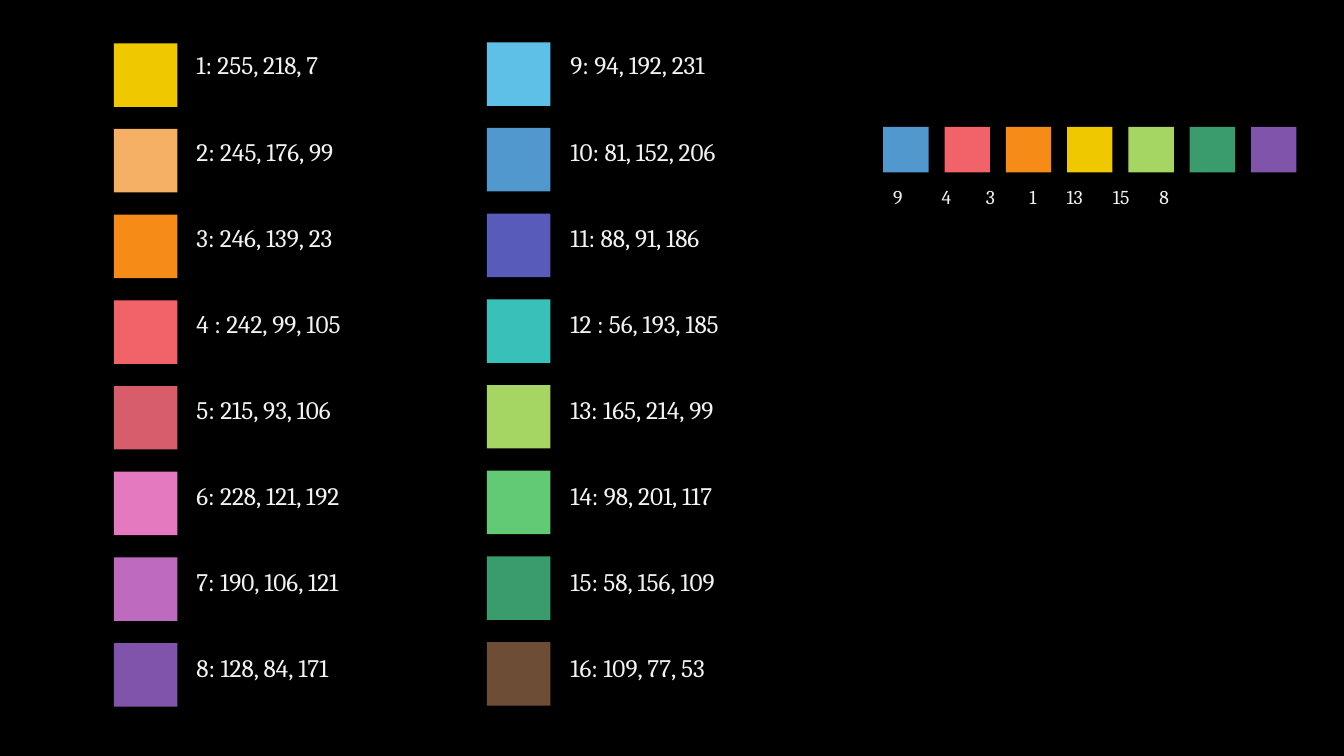
from dataclasses import dataclass

from lxml import etree
from pptx import Presentation
from pptx import util as u
from pptx.dml.color import RGBColor
from pptx.enum import shapes, text
from pptx.oxml.ns import qn


@dataclass(frozen=True)
class Theme:
    """Colours and type sizes of the slide."""
    background: str = "000000"
    ink: str = "F2F2F2"
    font: str = "Cambria"
    label_size: int = 18
    pick_size: int = 14
    leading: float = 20.5


THEME = Theme()

WARM = [
    ("F0C800", "1: 255, 218, 7"),
    ("F5B063", "2: 245, 176, 99"),
    ("F68B17", "3: 246, 139, 23"),
    ("F26369", "4 : 242, 99, 105"),
    ("D75D6A", "5: 215, 93, 106"),
    ("E479C0", "6: 228, 121, 192"),
    ("BE6ABF", "7: 190, 106, 121"),
    ("8054AB", "8: 128, 84, 171"),
]
COOL = [
    ("5EC0E7", "9: 94, 192, 231"),
    ("5198CE", "10: 81, 152, 206"),
    ("585BBA", "11: 88, 91, 186"),
    ("38C1B9", "12 : 56, 193, 185"),
    ("A5D663", "13: 165, 214, 99"),
    ("62C975", "14: 98, 201, 117"),
    ("3A9C6D", "15: 58, 156, 109"),
    ("6D4D35", "16: 109, 77, 53"),
]
# Colour, number and the number's distance from the start of its line.
PICKS = [
    ("5198CE", "9", 0),
    ("F26369", "4", 0.48),
    ("F68B17", "3", 0.92),
    ("F0C800", "1", 1.35),
    ("A5D663", "13", 1.72),
    ("3A9C6D", "15", 2.18),
    ("8054AB", "8", 2.64),
]


def add_swatch(slide, left, top, side, colour):
    """Draw one plain colour square."""
    swatch = slide.shapes.add_shape(
        shapes.MSO_SHAPE.RECTANGLE, *map(u.Inches, (left, top, side, side)))
    swatch.shadow.inherit = False
    swatch.fill.solid()
    swatch.fill.fore_color.rgb = RGBColor.from_string(colour)
    swatch.line.fill.background()


def add_lines(slide, left, top, width, height, lines, size, gap=0):
    """Add a text box with one paragraph per line and return its paragraphs."""
    frame = slide.shapes.add_textbox(
        *map(u.Inches, (left, top, width, height))).text_frame
    frame.word_wrap = True
    frame.auto_size = text.MSO_AUTO_SIZE.SHAPE_TO_FIT_TEXT
    for index, line in enumerate(lines):
        paragraph = frame.add_paragraph() if index else frame.paragraphs[0]
        paragraph.line_spacing = u.Pt(THEME.leading)
        paragraph.space_before = u.Pt(gap if index else 0)
        run = paragraph.add_run()
        run.text = line
        run.font.name = THEME.font
        run.font.size = u.Pt(size)
        run.font.color.rgb = RGBColor.from_string(THEME.ink)
    return frame.paragraphs


def set_tabs(paragraph, stops):
    """Give a paragraph left tab stops, in inches."""
    properties = paragraph._p.get_or_add_pPr()
    tab_list = etree.SubElement(properties, qn("a:tabLst"))
    for stop in stops:
        etree.SubElement(tab_list, qn("a:tab"),
                         pos=str(u.Inches(stop)), algn="l")


def add_palette_column(slide, left, top, label_left, palette):
    """Draw a column of swatches with their RGB values beside them."""
    for row, (colour, _) in enumerate(palette):
        add_swatch(slide, left, top + row * 0.85, 0.63, colour)
    add_lines(slide, label_left, 0.46, 2.36, 6.58,
              [label for _, label in palette],
              THEME.label_size, gap=2 * THEME.leading)


def add_pick_row(slide, left, top):
    """Draw the row of chosen colours with their numbers below."""
    for column, (colour, _, _) in enumerate(PICKS):
        add_swatch(slide, left + column * 0.608, top, 0.45, colour)
    numbers = "\t".join(number for _, number, _ in PICKS)
    paragraphs = add_lines(slide, left, 1.73, 4.21, 0.38,
                           [numbers], THEME.pick_size)
    set_tabs(paragraphs[0], [offset for _, _, offset in PICKS[1:]])


def main():
    """Build the colour palette slide."""
    deck = Presentation()
    deck.slide_width, deck.slide_height = u.Inches(13.33), u.Inches(7.5)
    slide = deck.slides.add_slide(deck.slide_layouts[6])
    slide.background.fill.solid()
    slide.background.fill.fore_color.rgb = RGBColor.from_string(THEME.background)
    add_palette_column(slide, 1.13, 0.43, 1.85, WARM)
    add_palette_column(slide, 4.83, 0.42, 5.56, COOL)
    add_pick_row(slide, 8.76, 1.26)
    deck.save("out.pptx")


main()
